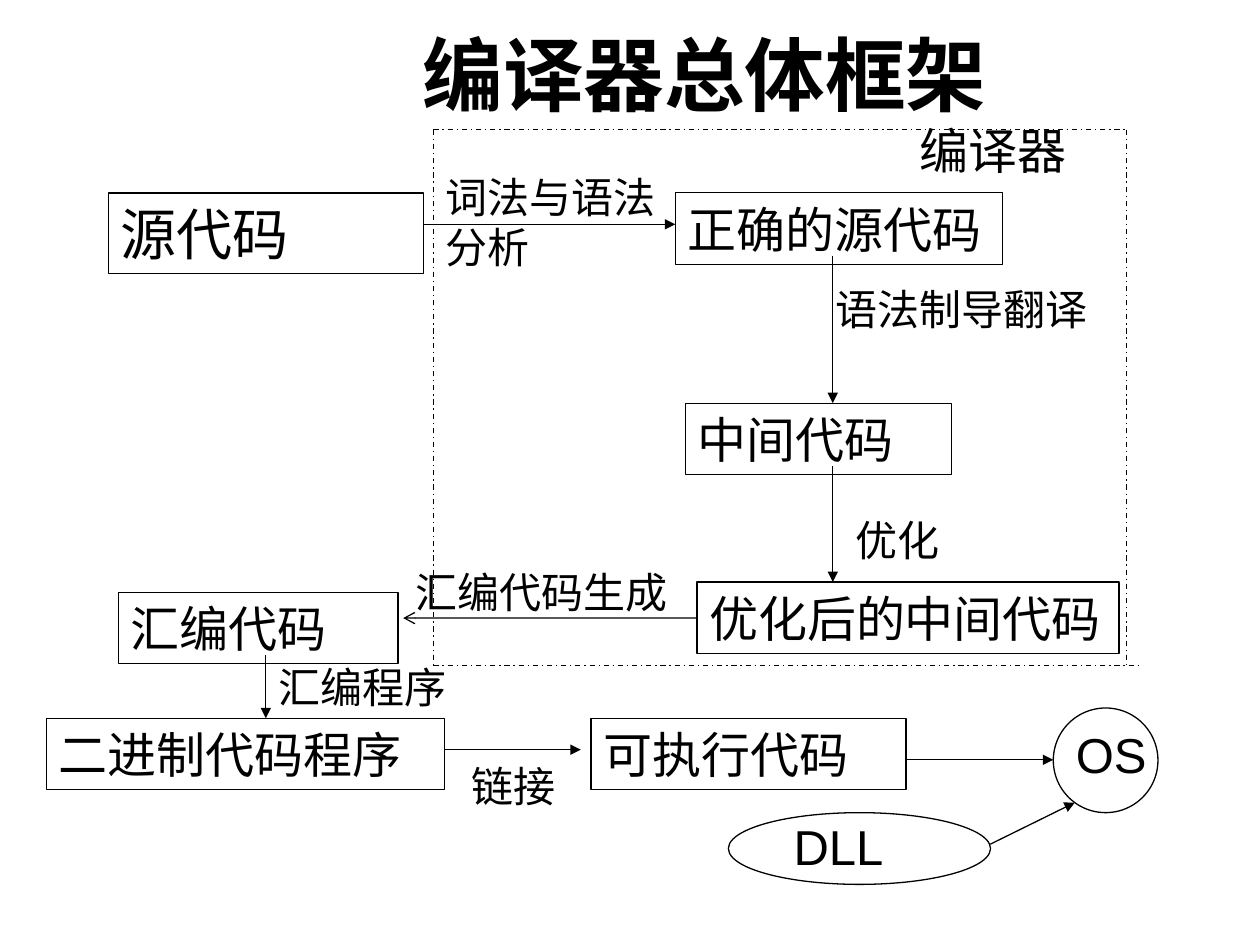
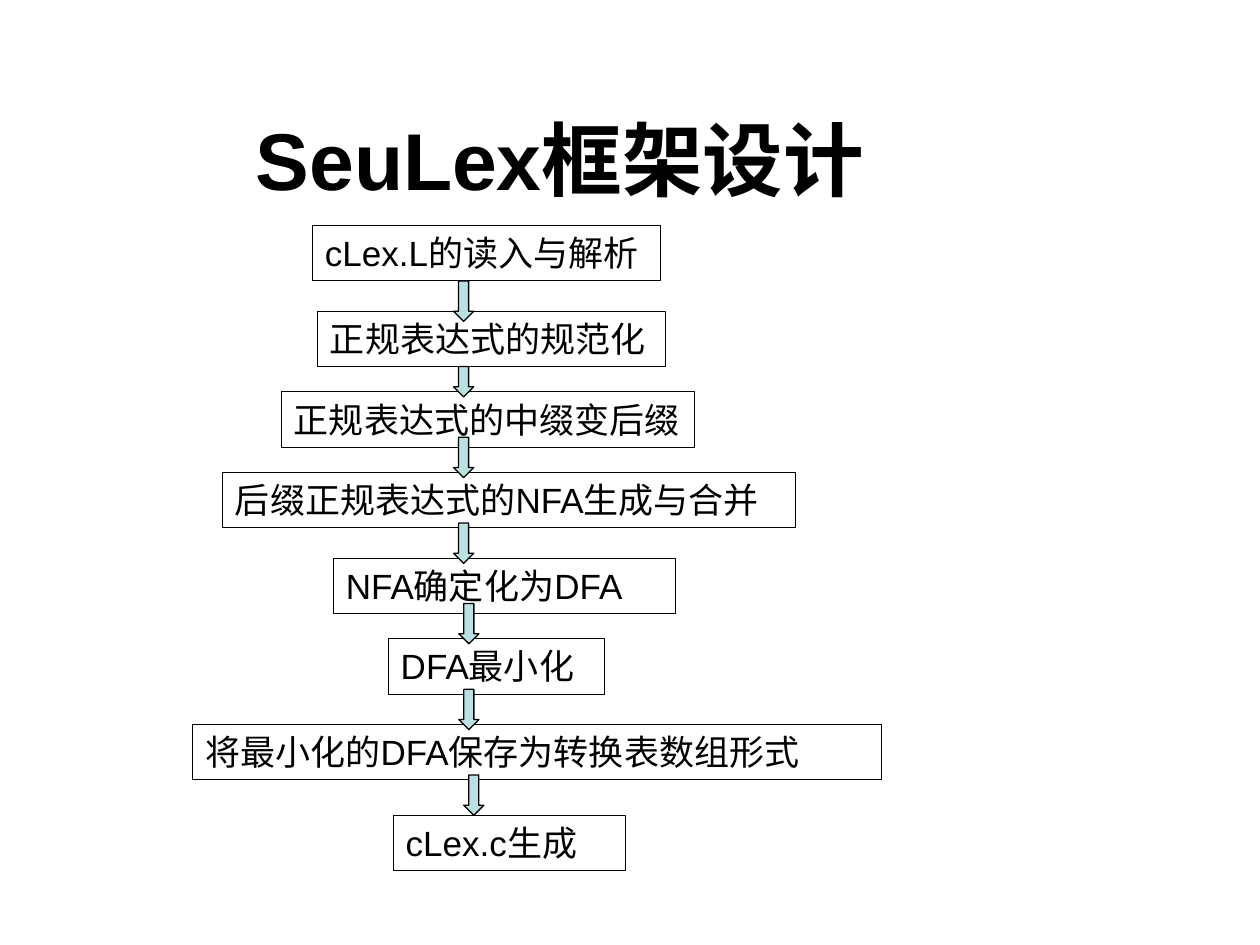
from pptx import Presentation
from pptx.dml.color import RGBColor
from pptx.enum.dml import MSO_LINE
from pptx.enum.shapes import MSO_CONNECTOR, MSO_SHAPE
from pptx.enum.text import MSO_ANCHOR, MSO_AUTO_SIZE as AUTO_SIZE, PP_ALIGN
from pptx.oxml.ns import qn
from pptx.util import Pt
from lxml.etree import SubElement

COLORS = {"ink": "000000", "arrow": "BBE0E3"}
FONT = "Arial"
BOX_HEIGHT = 41
LABEL_HEIGHT = 36
STEP_HEIGHT = 31.7


def color(name):
    return RGBColor.from_string(COLORS[name])


def place(origin, left, top, width, height):
    return [Pt(v) for v in (origin[0] + left, origin[1] + top, width, height)]


def write_text(shape, text, size, bold=False, align=PP_ALIGN.LEFT,
               anchor=MSO_ANCHOR.TOP, fit=AUTO_SIZE.SHAPE_TO_FIT_TEXT):
    text_frame = shape.text_frame
    text_frame.text = text
    text_frame.word_wrap = True
    text_frame.auto_size = fit
    text_frame.vertical_anchor = anchor
    paragraph = text_frame.paragraphs[0]
    paragraph.alignment = align
    font = paragraph.runs[0].font
    font.name, font.size, font.bold = FONT, Pt(size), bold
    font.color.rgb = color("ink")


def add_outline(slide, kind, bounds, line_width=0.75, fill=None):
    shape = slide.shapes.add_shape(kind, *bounds)
    shape.shadow.inherit = False
    if fill:
        shape.fill.solid()
        shape.fill.fore_color.rgb = color(fill)
    else:
        shape.fill.background()
    shape.line.color.rgb = color("ink")
    shape.line.width = Pt(line_width)
    return shape


def add_box(slide, bounds, text, size=28, line_width=0.75):
    shape = add_outline(slide, MSO_SHAPE.RECTANGLE, bounds, line_width)
    write_text(shape, text, size)
    return shape


def add_label(slide, bounds, text, size=24):
    write_text(slide.shapes.add_textbox(*bounds), text, size)


def add_line(slide, origin, start, end, head=None, dash=None):
    x, y = origin[:2]
    line = slide.shapes.add_connector(
        MSO_CONNECTOR.STRAIGHT, Pt(x + start[0]), Pt(y + start[1]),
        Pt(x + end[0]), Pt(y + end[1]))
    line.line.color.rgb = color("ink")
    line.line.width = Pt(0.75)
    if dash:
        line.line.dash_style = dash
    if head:
        SubElement(line.line._get_or_add_ln(), qn("a:tailEnd"), type=head)
    SubElement(line._element.spPr, qn("a:effectLst"))
    return line


def draw_title(slide, box, text):
    title = slide.shapes.add_textbox(*place(box, 0, 0, *box[2:]))
    write_text(title, text, 46, True, PP_ALIGN.CENTER, MSO_ANCHOR.MIDDLE,
               AUTO_SIZE.NONE)


def draw_compiler(slide, box):
    """Source code to optimised code, with the dashed compiler frame."""
    width, height = box[2:]
    frame_left = 185.8

    # Code stages
    add_box(slide, place(box, 0, 36, 180, 46), "源代码", 32)
    for text, left, top, box_width in (
            ("正确的源代码", 324, 36, 187.2),
            ("中间代码", 329.8, 156.2, 152),
            ("优化后的中间代码", 336.3, 258.4, 241.2)):
        stage = add_box(slide, place(box, left, top, box_width, BOX_HEIGHT), text)
    optimized = stage

    # Passes between the stages
    for start, end in (((180, 54), (324, 54)),
                       ((414, 72), (414, 156.2)),
                       ((414, 192.2), (414, 258.4))):
        add_line(slide, box, start, end, "triangle")
    generation = add_line(slide, box, (336.3, 279), (168.5, 279), "arrow")
    generation.begin_connect(optimized, 1)

    # Pass names
    for text, left, top, label_width, label_height in (
            ("词法与语法分析", frame_left, 20.1, 149.8, 64.8),
            ("语法制导翻译", 408.3, 84.2, 198, LABEL_HEIGHT),
            ("优化", 419.8, 216, 149.8, LABEL_HEIGHT),
            ("汇编代码生成", 168.5, 246.2, 170, LABEL_HEIGHT)):
        add_label(slide, place(box, left, top, label_width, label_height), text)

    # Compiler frame
    for start, end in (((frame_left, 0), (width, 0)),
                       ((width, 0), (width, height)),
                       ((frame_left, 0), (frame_left, height)),
                       ((frame_left, height), (width + 6.5, height))):
        add_line(slide, box, start, end, dash=MSO_LINE.DASH_DOT)
    add_label(slide, place(box, 456.5, -8.7, 120.2, BOX_HEIGHT), "编译器", 28)


def draw_linking(slide, box):
    """Assembly code to a program run by the operating system."""
    # Code stages
    for text, left, top, width in (("汇编代码", 41.1, 0, 159.8),
                                   ("二进制代码程序", 0, 72, 227.5),
                                   ("可执行代码", 311.1, 72, 180)):
        add_box(slide, place(box, left, top, width, BOX_HEIGHT), text)

    # System and library
    for left, top, width, height in ((575.3, 66.2, 59.8, 59.8),
                                     (389.6, 126, 149.8, BOX_HEIGHT)):
        add_outline(slide, MSO_SHAPE.OVAL, place(box, left, top, width, height))
    for text, left, top, width in (("OS", 581.1, 72, 59.8),
                                   ("DLL", 419.8, 124.6, 120.2)):
        add_label(slide, place(box, left, top, width, BOX_HEIGHT), text, 28)

    # Arrows and their names
    for start, end in (((125.3, 36), (125.3, 72)),
                       ((227.5, 90), (305.3, 90)),
                       ((491.1, 95.8), (575.3, 95.8)),
                       ((539.3, 144), (587.6, 120.2))):
        add_line(slide, box, start, end, "triangle")
    for text, left, top, width in (("汇编程序", 125.3, 36, 126),
                                   ("链接", 235.5, 92.9, 87.8)):
        add_label(slide, place(box, left, top, width, LABEL_HEIGHT), text)


def draw_steps(slide, box):
    """Column of steps joined by block arrows."""
    # Text, left, top, width of each step
    for text, left, top, width in (
            ("cLex.L的读入与解析", 68.4, 0, 198.7),
            ("正规表达式的规范化", 71.3, 48.9, 198.7),
            ("正规表达式的中缀变后缀", 50.7, 95, 235.7),
            ("后缀正规表达式的NFA生成与合并", 17, 141.1, 327.6),
            ("NFA确定化为DFA", 80.3, 190.1, 195.8),
            ("DFA最小化", 111.7, 236.1, 123.8),
            ("将最小化的DFA保存为转换表数组形式", 0, 285.1, 393.8),
            ("cLex.c生成", 114.6, 337, 132.5)):
        add_box(slide, place(box, left, top, width, STEP_HEIGHT), text, 20, 0.5)

    # Left, top, height of each block arrow
    for left, top, height in (
            (149, 31.7, 23), (149, 80.6, 17.3), (149, 121, 23), (149, 170, 23),
            (152, 216, 23), (152, 265, 23), (154.8, 314, 23)):
        add_outline(slide, MSO_SHAPE.DOWN_ARROW,
                    place(box, left, top, 11.5, height), fill="arrow")


def main():
    presentation = Presentation()
    presentation.slide_width, presentation.slide_height = Pt(720), Pt(540)
    blank = presentation.slide_layouts[6]

    slide = presentation.slides.add_slide(blank)
    draw_title(slide, (118.8, 23, 567.4, 37.4), "编译器总体框架")
    draw_compiler(slide, (61.9, 74.2, 581.8, 306))
    draw_linking(slide, (26.6, 338.4, 635, 167))

    slide = presentation.slides.add_slide(blank)
    draw_title(slide, (36, 72, 567.4, 37.4), "SeuLex框架设计")
    draw_steps(slide, (110.2, 128.9, 393.8, 368.7))

    presentation.save("out.pptx")


if __name__ == "__main__":
    main()
